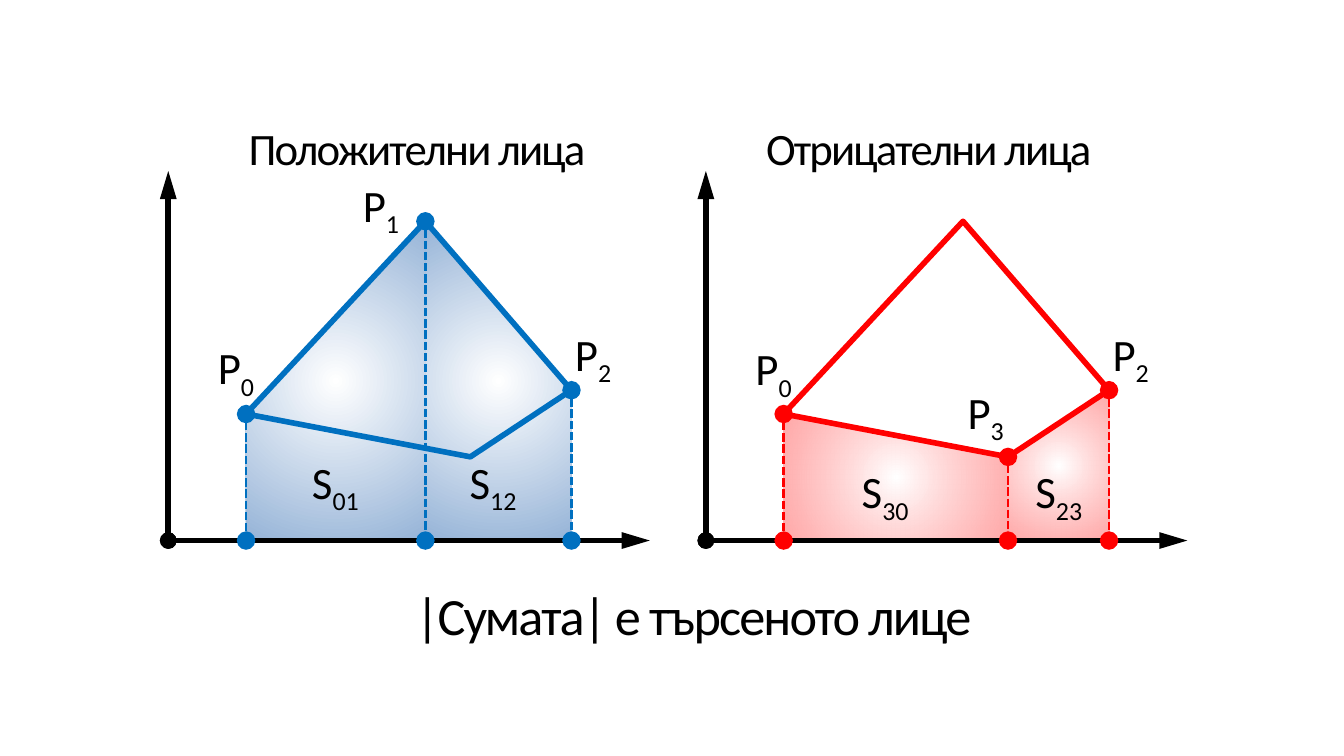
"""Build a slide that splits a polygon's area into positive and negative trapezoids."""
from lxml import etree
from pptx import Presentation
from pptx.dml.color import RGBColor
from pptx.enum import dml, shapes, text
from pptx.oxml.ns import qn
from pptx.util import Cm, Pt

THEME = {
    "font": "Calibri",
    "ink": RGBColor(0x00, 0x00, 0x00),
    "centre": RGBColor(0xFF, 0xFF, 0xFF),
    "blue": RGBColor(0x00, 0x70, 0xC0),
    "blue_area": RGBColor(0x95, 0xB3, 0xD7),
    "red": RGBColor(0xFF, 0x00, 0x00),
    "red_area": RGBColor(0xFF, 0x93, 0x93),
    "text": Pt(24),
    "summary": Pt(28),
    "thick": Pt(3),
    "thin": Pt(1.5),
}
VERTICES = {"P0": (4.65, 7.82), "P1": (8.04, 4.18), "P2": (10.8, 7.37), "P3": (8.89, 8.63)}
ORIGIN = (3.18, 10.21)
AXIS_TIPS = [(3.18, 3.23), (12.28, 10.21)]
LABEL_WIDTH = {"P": 1.7, "S": 2.12}
GRAPHS = [
    {
        "shift": 0, "line": "blue", "area": "blue_area", "opacity": 100,
        "trapezoids": [("P1", "P2"), ("P0", "P1")], "drops": ["P0", "P1", "P2"],
        "labels": {"S01": (5.28, 8.46), "S12": (8.26, 8.46), "P2": (10.36, 6.05),
                   "P1": (6.35, 3.23), "P0": (3.61, 6.3)},
    },
    {
        "shift": 10.16, "line": "red", "area": "red_area", "opacity": 80,
        "trapezoids": [("P0", "P3"), ("P3", "P2")], "drops": ["P0", "P3", "P2"],
        "labels": {"S30": (5.51, 8.64), "S23": (8.79, 8.64), "P2": (10.36, 6.05),
                   "P3": (7.62, 7.14), "P0": (3.61, 6.32)},
    },
]


def add_line(slide, start, end, color, width, ends, dash=None):
    line = slide.shapes.add_connector(
        shapes.MSO_CONNECTOR.STRAIGHT, *[Cm(value) for value in (*start, *end)])
    line.line.color.rgb = color
    line.line.width = width
    if dash:
        line.line.dash_style = dash
    for tag, (kind, across, along) in zip(("a:headEnd", "a:tailEnd"), ends):
        etree.SubElement(line.line._get_or_add_ln(), qn(tag), type=kind, w=across, len=along)
    etree.SubElement(line._element.spPr, qn("a:effectLst"))


def add_polygon(slide, points):
    corners = [(Cm(x), Cm(y)) for x, y in points]
    builder = slide.shapes.build_freeform(*corners[0])
    builder.add_line_segments(corners[1:], close=True)
    polygon = builder.convert_to_shape()
    polygon.shadow.inherit = False
    return polygon


deck = Presentation()
deck.slide_width, deck.slide_height = Cm(25.4), Cm(14.28)
slide = deck.slides.add_slide(deck.slide_layouts[5])

title = slide.shapes.title
for name, value in {"left": 0, "top": 1.85, "width": 25.4, "height": 12.43}.items():
    setattr(title, name, Cm(value))
frame_format = {
    "word_wrap": True, "auto_size": text.MSO_AUTO_SIZE.NONE,
    "vertical_anchor": text.MSO_ANCHOR.TOP, "margin_left": 0, "margin_right": 0,
    "margin_top": Cm(0.43),
}
for name, value in frame_format.items():
    setattr(title.text_frame, name, value)

title_lines = [
    ("\tПоложителни лица\tОтрицателни лица", "text", 0, [4.7, 14.48]),
    ("\t|Сумата| е търсеното лице", "summary", 219, [7.85]),
]
for index, (wording, size, gap, stops) in enumerate(title_lines):
    paragraph = title.text_frame.add_paragraph() if index else title.text_frame.paragraphs[0]
    paragraph.alignment = text.PP_ALIGN.LEFT
    paragraph.space_before = Pt(gap)
    tabs = etree.SubElement(paragraph._p.get_or_add_pPr(), qn("a:tabLst"))
    for stop in stops:
        etree.SubElement(tabs, qn("a:tab"), pos=str(Cm(stop)), algn="l")
    run = paragraph.add_run()
    run.text = wording
    for name, value in {"name": THEME["font"], "size": THEME[size], "bold": False}.items():
        setattr(run.font, name, value)
    run.font.color.rgb = THEME["ink"]
    run._r.get_or_add_rPr().set("spc", "-100")

for graph in GRAPHS:
    shift, color = graph["shift"], THEME[graph["line"]]
    base = ORIGIN[1]
    vertices = {name: (x + shift, y) for name, (x, y) in VERTICES.items()}

    for first, second in graph["trapezoids"]:
        start, end = vertices[first], vertices[second]
        trapezoid = add_polygon(slide, [start, end, (end[0], base), (start[0], base)])
        trapezoid.line.fill.background()
        trapezoid.fill.gradient()
        for stop, place, shade in zip(trapezoid.fill.gradient_stops, (0, 1), ("centre", graph["area"])):
            stop.position = place
            stop.color.rgb = THEME[shade]
        gradient = trapezoid._element.spPr.find(qn("a:gradFill"))
        gradient.remove(gradient.find(qn("a:lin")))
        circle = etree.SubElement(gradient, qn("a:path"), path="circle")
        etree.SubElement(circle, qn("a:fillToRect"), l="50000", t="50000", r="50000", b="50000")
        outer = gradient.findall(".//" + qn("a:srgbClr"))[-1]
        etree.SubElement(outer, qn("a:alpha"), val=str(graph["opacity"] * 1000))

    for x, y in AXIS_TIPS:
        add_line(slide, (ORIGIN[0] + shift, base), (x + shift, y), THEME["ink"], THEME["thick"],
                 [("oval", "med", "med"), ("triangle", "med", "lg")])

    for name in graph["drops"]:
        add_line(slide, vertices[name], (vertices[name][0], base), color, THEME["thin"],
                 [("oval", "lg", "lg")] * 2, dml.MSO_LINE.SQUARE_DOT)

    outline = add_polygon(slide, list(vertices.values()))
    outline.fill.background()
    outline.line.color.rgb = color
    outline.line.width = THEME["thick"]

    for label, (x, y) in graph["labels"].items():
        letter, subscript = label[0], label[1:]
        box = slide.shapes.add_textbox(Cm(x + shift), Cm(y), Cm(LABEL_WIDTH[letter]), Cm(1.9))
        box.text_frame.word_wrap = True
        paragraph = box.text_frame.paragraphs[0]
        paragraph.alignment = text.PP_ALIGN.CENTER
        for wording, baseline in ((letter, "0"), (subscript, "-25000")):
            run = paragraph.add_run()
            run.text = wording
            for name, value in {"name": THEME["font"], "size": THEME["text"]}.items():
                setattr(run.font, name, value)
            run.font.color.rgb = THEME["ink"]
            run._r.get_or_add_rPr().set("baseline", baseline)

deck.save("out.pptx")
